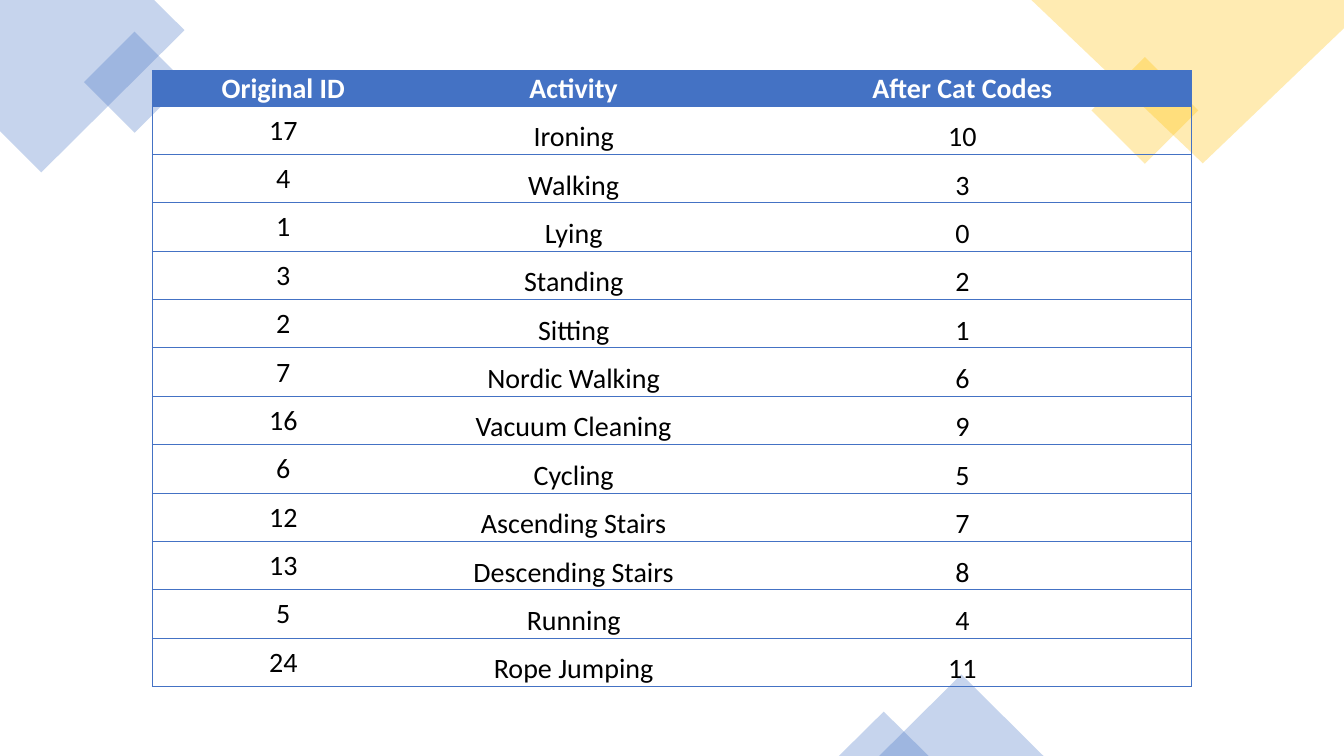
from lxml import etree
from pptx import Presentation
from pptx.dml.color import RGBColor
from pptx.enum.shapes import MSO_SHAPE
from pptx.enum.text import MSO_ANCHOR, PP_ALIGN
from pptx.oxml.ns import qn
from pptx.util import Inches, Pt

BLUE = RGBColor(0x44, 0x72, 0xC4)
GOLD = RGBColor(0xFF, 0xC0, 0x00)
WHITE = RGBColor(0xFF, 0xFF, 0xFF)
BLACK = RGBColor(0x00, 0x00, 0x00)
SQUARE = MSO_SHAPE.RECTANGLE
TRIANGLE = MSO_SHAPE.ISOSCELES_TRIANGLE
CENTER = PP_ALIGN.CENTER
MIDDLE = MSO_ANCHOR.MIDDLE
BOTTOM = MSO_ANCHOR.BOTTOM

FONT = "Calibri"
NO_GRID_STYLE = "{2D5ABB26-0587-4C30-8999-92F81FD0307C}"
COLUMN_WIDTHS = (2.6, 3.16, 4.55)
HEADER_HEIGHT = 0.34
ROW_HEIGHT = 0.48
HEADINGS = ("Original ID", "Activity", "After Cat Codes")
ACTIVITIES = (
    (17, "Ironing", 10),
    (4, "Walking", 3),
    (1, "Lying", 0),
    (3, "Standing", 2),
    (2, "Sitting", 1),
    (7, "Nordic Walking", 6),
    (16, "Vacuum Cleaning", 9),
    (6, "Cycling", 5),
    (12, "Ascending Stairs", 7),
    (13, "Descending Stairs", 8),
    (5, "Running", 4),
    (24, "Rope Jumping", 11),
)


def tint(shape, color):
    shape.shadow.inherit = False
    shape.line.fill.background()
    shape.fill.solid()
    shape.fill.fore_color.rgb = color
    srgb = shape.fill._xPr.find(qn("a:solidFill")).find(qn("a:srgbClr"))
    etree.SubElement(srgb, qn("a:alpha")).set("val", "30000")


def add_accent(slide, kind, left, top, width, height, color, rotation=0):
    accent = slide.shapes.add_shape(
        kind, Inches(left), Inches(top), Inches(width), Inches(height))
    accent.rotation = rotation
    tint(accent, color)


def add_corner(slide, points, color):
    corners = [(Inches(x), Inches(y)) for x, y in points]
    builder = slide.shapes.build_freeform(*corners[0])
    builder.add_line_segments(corners[1:], close=True)
    tint(builder.convert_to_shape(), color)


def set_borders(cell, sides):
    properties = cell._tc.get_or_add_tcPr()
    for side in sides:
        border = etree.SubElement(properties, qn(f"a:ln{side}"), w=str(Pt(0.5)))
        fill = etree.SubElement(border, qn("a:solidFill"))
        etree.SubElement(fill, qn("a:srgbClr"), val=str(BLUE))


def write_cell(cell, text, color, bold, anchor):
    cell.margin_left = cell.margin_right = cell.margin_top = Inches(0.01)
    cell.margin_bottom = 0
    cell.vertical_anchor = anchor
    paragraph = cell.text_frame.paragraphs[0]
    paragraph.text = text
    paragraph.alignment = CENTER
    font = paragraph.runs[0].font
    font.name = FONT
    font.size = Pt(20)
    font.bold = bold
    font.color.rgb = color


def add_activity_table(slide):
    rows = (HEADINGS,) + ACTIVITIES
    height = HEADER_HEIGHT + ROW_HEIGHT * len(ACTIVITIES)
    table = slide.shapes.add_table(
        len(rows), len(HEADINGS), Inches(1.51), Inches(0.7),
        Inches(sum(COLUMN_WIDTHS)), Inches(height)).table
    table.horz_banding = False
    table._tbl.tblPr.find(qn("a:tableStyleId")).text = NO_GRID_STYLE
    for column, width in zip(table.columns, COLUMN_WIDTHS):
        column.width = Inches(width)

    last = len(HEADINGS) - 1
    for r, values in enumerate(rows):
        is_header = r == 0
        table.rows[r].height = Inches(HEADER_HEIGHT if is_header else ROW_HEIGHT)
        for c, value in enumerate(values):
            cell = table.cell(r, c)
            anchor = MIDDLE if c == 0 and not is_header else BOTTOM
            write_cell(cell, str(value), WHITE if is_header else BLACK,
                       is_header, anchor)
            set_borders(cell, {0: "LTB", last: "RTB"}.get(c, "TB"))
            if is_header:
                cell.fill.solid()
                cell.fill.fore_color.rgb = BLUE
            else:
                cell.fill.background()


def main():
    presentation = Presentation()
    presentation.slide_width = Inches(13.33)
    presentation.slide_height = Inches(7.5)
    slide = presentation.slides.add_slide(presentation.slide_layouts[6])

    add_corner(slide, [(1.53, 0), (0, 0), (0, 1.3), (0.41, 1.71), (1.83, 0.3)], BLUE)
    add_accent(slide, SQUARE, 0.98, 0.46, 0.71, 0.71, BLUE, 315)
    add_accent(slide, SQUARE, 10.98, 0.72, 0.75, 0.75, GOLD, 315)
    add_corner(slide, [(13.33, 0), (10.23, 0), (11.93, 1.62), (13.33, 0.28)], GOLD)
    add_accent(slide, TRIANGLE, 8.72, 6.69, 1.63, 0.81, BLUE)
    add_accent(slide, TRIANGLE, 8.32, 7.06, 0.89, 0.44, BLUE)
    add_activity_table(slide)

    presentation.save("out.pptx")


if __name__ == "__main__":
    main()
